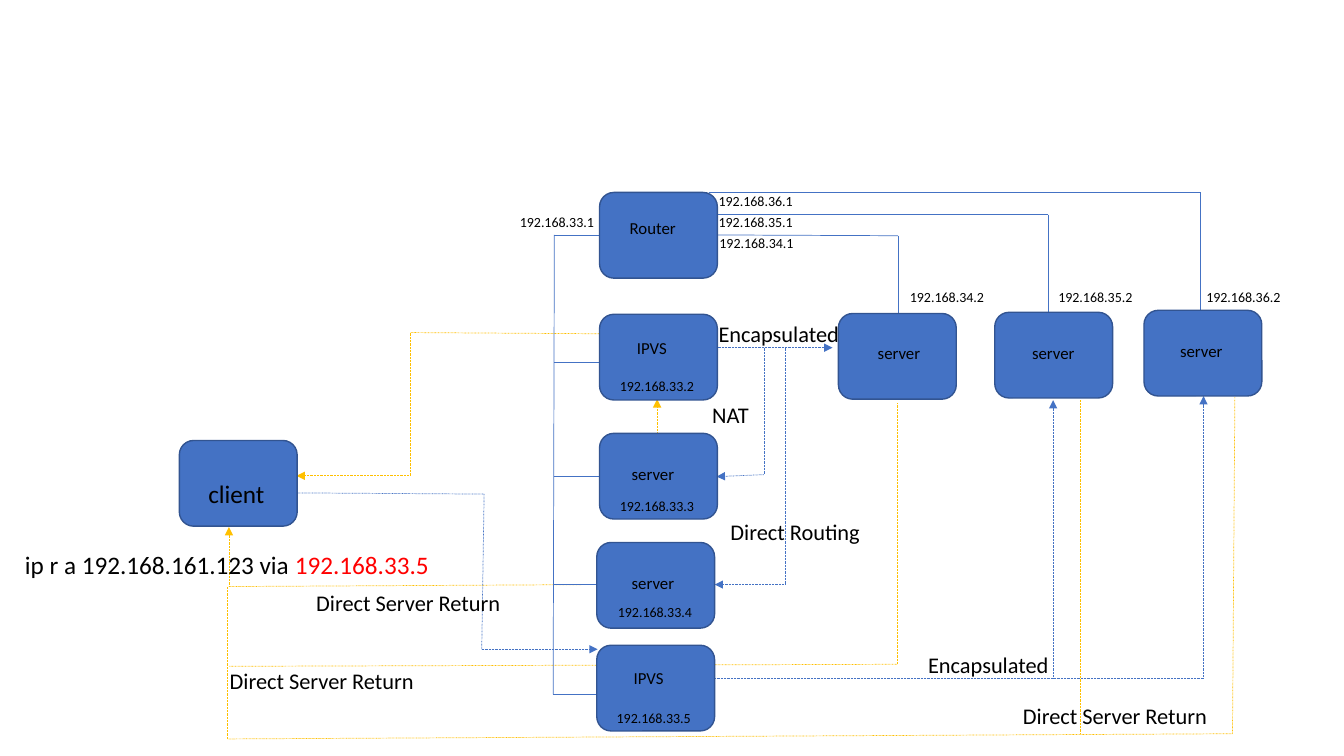
from itertools import pairwise
from lxml import etree
from pptx import Presentation
from pptx.dml.color import RGBColor
from pptx.enum.dml import MSO_LINE
from pptx.enum.shapes import MSO_CONNECTOR, MSO_SHAPE
from pptx.oxml.ns import qn
from pptx.util import Cm, Pt

BLUE = RGBColor(0x44, 0x72, 0xC4)
EDGE = RGBColor(0x32, 0x54, 0x91)
GOLD = RGBColor(0xFF, 0xC0, 0x00)
BLACK = RGBColor(0, 0, 0)
RED = RGBColor(0xFF, 0, 0)
DOTTED = MSO_LINE.ROUND_DOT
STRAIGHT = MSO_CONNECTOR.STRAIGHT
ROUNDED = MSO_SHAPE.ROUNDED_RECTANGLE

NODE_W, NODE_H = 2.97, 2.16
NODES = [
    (15.11, 4.85), (15.11, 7.92), (15.11, 10.92), (15.04, 13.67), (15.04, 16.26),
    (4.52, 11.1), (21.13, 7.9), (25.07, 7.87), (28.83, 7.82),
]

RETURN_ROUTES = [
    ([(15.09, 8.41), (10.34, 8.38), (10.34, 11.99), (7.47, 11.99)], True),
    ([(16.56, 11), (16.56, 10.06)], True),
    ([(15.04, 14.73), (5.77, 14.78), (5.77, 13.28)], True),
    ([(22.61, 10.16), (22.61, 16.74), (5.77, 16.79)], False),
    ([(31.12, 10.01), (31.06, 18.49), (5.74, 18.62), (5.74, 14.78)], False),
    ([(27.23, 10.08), (27.23, 18.49)], False),
]
REQUEST_ROUTES = [
    ([(7.47, 12.42), (12.2, 12.45), (12.14, 16.36), (15.06, 16.36)], True),
    ([(17.22, 8.76), (20.98, 8.76)], True),
    ([(19.25, 8.76), (19.25, 11.96), (18.06, 12.01)], True),
    ([(19.79, 8.76), (19.79, 14.73), (18.01, 14.73)], True),
    ([(17.88, 17.09), (30.33, 17.09), (30.33, 9.98)], True),
    ([(26.54, 17.09), (26.54, 10.08)], True),
]
CABLES = [
    ([(15.09, 5.92), (13.97, 5.92), (13.94, 17.5), (15.04, 17.5)], False),
    ([(18.01, 5.92), (22.63, 5.94), (22.63, 7.9)], False),
    ([(18.08, 5.41), (26.42, 5.41), (26.42, 7.87)], False),
    ([(17.86, 4.85), (30.25, 4.85), (30.25, 7.82)], False),
] + [([(15.11, y), (13.97, y)], False) for y in (9.14, 12.01, 14.73)]

LABEL_H = {10: 0.69, 12: 0.76, 16: 0.94, 18: 1.02}
ADDRESSES = [
    ("192.168.33.1", 12.85, 5.26), ("192.168.33.2", 15.37, 9.4),
    ("192.168.33.3", 15.37, 12.42), ("192.168.33.4", 15.32, 15.09),
    ("192.168.33.5", 15.29, 17.75), ("192.168.34.1", 17.88, 5.79),
    ("192.168.35.1", 17.86, 5.26), ("192.168.36.1", 17.86, 4.72),
    ("192.168.34.2", 22.68, 7.14), ("192.168.35.2", 26.42, 7.14),
    ("192.168.36.2", 30.15, 7.14),
]
ROLES = [
    ("Router", 15.62, 5.36), ("IPVS", 15.8, 8.38), ("server", 15.67, 11.56),
    ("server", 15.67, 14.3), ("IPVS", 15.72, 16.71), ("server", 21.87, 8.51),
    ("server", 25.76, 8.51), ("server", 29.49, 8.46),
]
METHODS = [
    ("NAT", 17.7, 9.98), ("Direct Routing", 18.16, 12.93),
    ("Encapsulated", 17.86, 7.95), ("Encapsulated", 23.14, 16.28),
    ("Direct Server Return", 7.72, 14.73), ("Direct Server Return", 5.54, 16.69),
    ("Direct Server Return", 25.53, 17.58),
]
LABEL_W = {"Router": 1.88, "IPVS": 1.42, "server": 1.63, "NAT": 2.11,
           "Direct Routing": 4.09, "Encapsulated": 4.09, "Direct Server Return": 5.44}

prs = Presentation()
prs.slide_width, prs.slide_height = Cm(33.87), Cm(19.05)
s = prs.slides.add_slide(prs.slide_layouts[6])


def add_route(points, arrow, color, dash):
    for start, end in pairwise(points):
        c = s.shapes.add_connector(STRAIGHT, *map(Cm, start + end))
        c.line.color.rgb = color
        c.line.width = Pt(0.5)
        if dash:
            c.line.dash_style = dash
        if arrow and end == points[-1]:
            etree.SubElement(c.line._get_or_add_ln(), qn("a:tailEnd"), type="triangle")
        etree.SubElement(c._element.spPr, qn("a:effectLst"))


def add_label(runs, x, y, width, size):
    tf = s.shapes.add_textbox(Cm(x), Cm(y), Cm(width), Cm(LABEL_H[size])).text_frame
    tf.word_wrap = True
    p = tf.paragraphs[0]
    p.font.size, p.font.name = Pt(size), "Calibri"
    for text, color in runs:
        r = p.add_run()
        r.text = text
        r.font.color.rgb = color


for routes, color, dash in ((RETURN_ROUTES, GOLD, DOTTED),
                            (REQUEST_ROUTES, BLUE, DOTTED),
                            (CABLES, BLUE, None)):
    for points, arrow in routes:
        add_route(points, arrow, color, dash)

for x, y in NODES:
    sp = s.shapes.add_shape(ROUNDED, Cm(x), Cm(y), Cm(NODE_W), Cm(NODE_H))
    sp.shadow.inherit = False
    sp.fill.solid()
    sp.fill.fore_color.rgb = BLUE
    sp.line.color.rgb = EDGE
    sp.line.width = Pt(1)

for labels, size in ((ADDRESSES, 10), (ROLES, 12), (METHODS, 16)):
    for text, x, y in labels:
        add_label([(text, BLACK)], x, y, LABEL_W.get(text, NODE_W), size)
add_label([("client", BLACK)], 5, 11.94, 1.98, 18)
add_label([("ip r a 192.168.161.123 via ", BLACK), ("192.168.33.5", RED)],
          0.38, 13.72, 11.4, 18)

prs.save("out.pptx")
